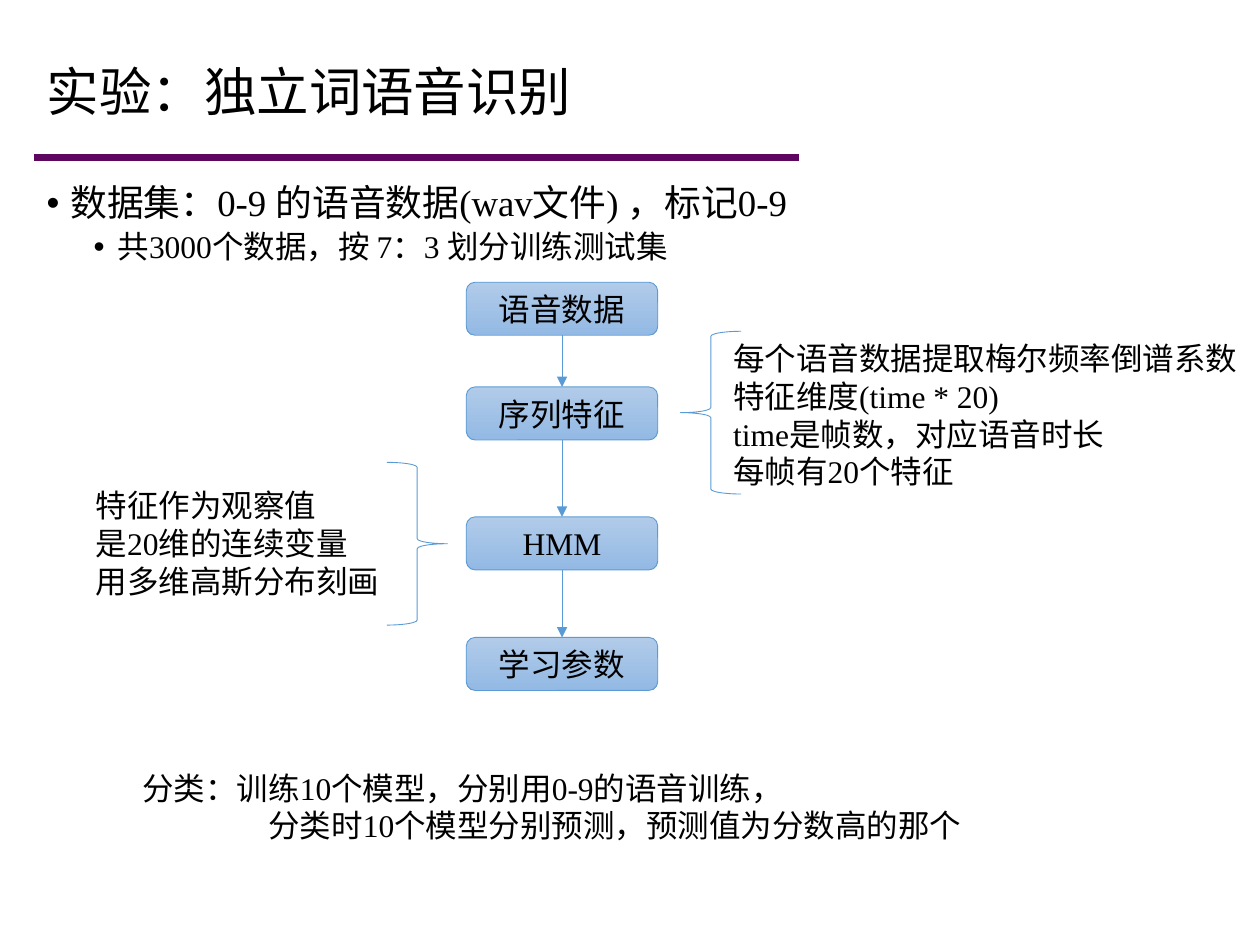
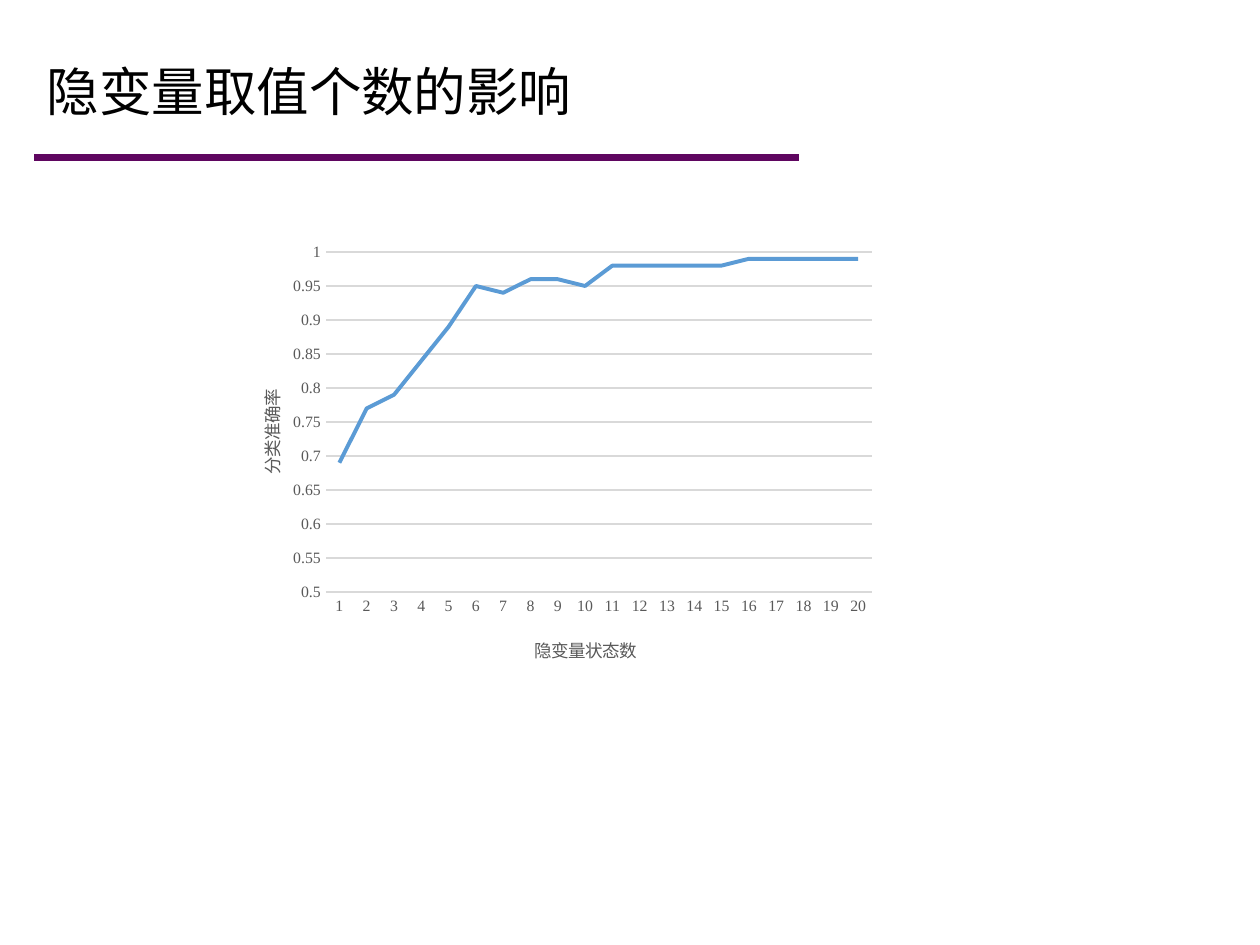
from dataclasses import dataclass
from itertools import pairwise

from lxml import etree
from pptx import Presentation
from pptx import util as u
from pptx.chart.data import CategoryChartData
from pptx.dml.color import RGBColor
from pptx.enum import chart as charts
from pptx.enum import shapes, text
from pptx.oxml.ns import qn


@dataclass(frozen=True)
class Theme:
    ink: RGBColor = RGBColor.from_string("000000")
    band: RGBColor = RGBColor.from_string("5F0660")
    accent: RGBColor = RGBColor.from_string("5B9BD5")
    box_top: RGBColor = RGBColor.from_string("B1CBE9")
    box_bottom: RGBColor = RGBColor.from_string("93B9E4")
    axis_text: RGBColor = RGBColor.from_string("595959")
    grid: RGBColor = RGBColor.from_string("D9D9D9")
    title_font: str = "Vollkorn"
    body_font: str = "Times New Roman"
    title_size: float = 30
    bullet_size: float = 21
    text_size: float = 18
    axis_title_size: float = 10
    tick_size: float = 9
    hairline: float = 0.5
    axis_line: float = 0.75
    series_line: float = 2.25
    band_line: float = 4


THEME = Theme()


@dataclass(frozen=True)
class Area:
    """A rectangle in centimetres."""
    left: float
    top: float
    width: float
    height: float

    def lengths(self) -> tuple:
        return tuple(u.Cm(v) for v in (self.left, self.top, self.width, self.height))


@dataclass(frozen=True)
class Step:
    label: str
    top: float


@dataclass(frozen=True)
class Note:
    lines: tuple
    area: Area
    last_indent: float = 0


@dataclass(frozen=True)
class Brace:
    area: Area
    rotation: int = 0


@dataclass(frozen=True)
class Bullet:
    words: str
    level: int
    size: float
    left: float
    space_before: float


TITLE_AREA = Area(0.69, 0.89, 19.84, 2.03)
BODY_AREA = Area(0.69, 3.61, 24.26, 13.79)
CHART_AREA = Area(4.47, 4.72, 13.36, 9.02)
BAND_LEFT, BAND_RIGHT, BAND_TOP = 0.69, 16.1, 3.18
STEP_LEFT, STEP_WIDTH, STEP_HEIGHT = 9.4, 3.86, 1.07
BULLET_HANG = 0.48

BULLETS = (
    Bullet("数据集：0-9 的语音数据(wav文件) ，标记0-9", 0, THEME.bullet_size, 0.48, 7.5),
    Bullet("共3000个数据，按 7：3 划分训练测试集", 1, THEME.text_size, 1.43, 3.8),
)
STEPS = (
    Step("语音数据", 5.69),
    Step("序列特征", 7.8),
    Step("HMM", 10.42),
    Step("学习参数", 12.85),
)
BRACES = (
    Brace(Area(13.72, 6.68, 1.22, 3.28)),
    Brace(Area(7.8, 9.32, 1.22, 3.28), rotation=180),
)
NOTES = (
    Note(("每个语音数据提取梅尔频率倒谱系数", "特征维度(time * 20)",
          "time是帧数，对应语音时长", "每帧有20个特征"), Area(14.53, 6.71, 10.7, 3.33)),
    Note(("特征作为观察值", "是20维的连续变量", "用多维高斯分布刻画"),
         Area(1.68, 9.68, 6.27, 2.57)),
    Note(("分类：训练10个模型，分别用0-9的语音训练，",
          "分类时10个模型分别预测，预测值为分数高的那个"),
         Area(2.62, 15.37, 22.35, 1.8), last_indent=2.54),
)
ACCURACY = (0.69, 0.77, 0.79, 0.84, 0.89, 0.95, 0.94, 0.96, 0.96, 0.95,
            0.98, 0.98, 0.98, 0.98, 0.98, 0.99, 0.99, 0.99, 0.99, 0.99)


def style_font(font, size: float, color: RGBColor = THEME.ink,
               name: str = THEME.body_font) -> None:
    font.size = u.Pt(size)
    font.name = name
    font.bold = False
    font.color.rgb = color


def style_runs(paragraph, size: float, name: str = THEME.body_font) -> None:
    for run in paragraph.runs:
        style_font(run.font, size, name=name)


def indent(paragraph, left: float, first_line: float = 0) -> None:
    properties = paragraph._p.get_or_add_pPr()
    properties.set("marL", str(u.Cm(left)))
    properties.set("indent", str(u.Cm(first_line)))


def add_text_frame(slide, area: Area):
    frame = slide.shapes.add_textbox(*area.lengths()).text_frame
    frame.word_wrap = True
    return frame


def add_line(slide, color: RGBColor, width: float, start=(0, 0), end=(0, 0)):
    """Straight connector without a shadow, between points in centimetres."""
    points = [u.Cm(value) for value in (*start, *end)]
    line = slide.shapes.add_connector(shapes.MSO_CONNECTOR.STRAIGHT, *points)
    line.line.color.rgb = color
    line.line.width = u.Pt(width)
    etree.SubElement(line._element.spPr, qn("a:effectLst"))
    return line


def add_titled_slide(presentation, title: str):
    slide = presentation.slides.add_slide(presentation.slide_layouts[6])
    add_line(slide, THEME.band, THEME.band_line,
             (BAND_LEFT, BAND_TOP), (BAND_RIGHT, BAND_TOP))
    frame = add_text_frame(slide, TITLE_AREA)
    frame.vertical_anchor = text.MSO_ANCHOR.MIDDLE
    frame.text = title
    frame.paragraphs[0].line_spacing = 0.9
    style_runs(frame.paragraphs[0], THEME.title_size, THEME.title_font)
    return slide


def add_bullets(slide, bullets: tuple) -> None:
    frame = add_text_frame(slide, BODY_AREA)
    frame.text = "\n".join(bullet.words for bullet in bullets)
    for paragraph, bullet in zip(frame.paragraphs, bullets):
        paragraph.level = bullet.level
        paragraph.line_spacing = 0.9
        paragraph.space_before = u.Pt(bullet.space_before)
        indent(paragraph, bullet.left, -BULLET_HANG)
        properties = paragraph._p.get_or_add_pPr()
        etree.SubElement(properties, qn("a:buFont"), typeface="Arial")
        etree.SubElement(properties, qn("a:buChar"), char="•")
        style_runs(paragraph, bullet.size)


def add_note(slide, note: Note) -> None:
    frame = add_text_frame(slide, note.area)
    frame.text = "\n".join(note.lines)
    for paragraph in frame.paragraphs:
        style_runs(paragraph, THEME.text_size)
    if note.last_indent:
        indent(frame.paragraphs[-1], note.last_indent)


def add_outlined_shape(slide, kind, area: Area):
    shape = slide.shapes.add_shape(kind, *area.lengths())
    shape.shadow.inherit = False
    shape.line.color.rgb = THEME.accent
    shape.line.width = u.Pt(THEME.hairline)
    return shape


def add_step(slide, step: Step):
    shape = add_outlined_shape(slide, shapes.MSO_SHAPE.ROUNDED_RECTANGLE,
                               Area(STEP_LEFT, step.top, STEP_WIDTH, STEP_HEIGHT))
    shape.fill.gradient()
    shape.fill.gradient_angle = 270
    for stop, color in zip(shape.fill.gradient_stops, (THEME.box_top, THEME.box_bottom)):
        stop.color.rgb = color
    frame = shape.text_frame
    frame.vertical_anchor = text.MSO_ANCHOR.MIDDLE
    frame.text = step.label
    frame.paragraphs[0].alignment = text.PP_ALIGN.CENTER
    style_runs(frame.paragraphs[0], THEME.text_size)
    return shape


def add_arrow(slide, upper, lower) -> None:
    arrow = add_line(slide, THEME.accent, THEME.hairline)
    arrow.begin_connect(upper, 2)
    arrow.end_connect(lower, 0)
    etree.SubElement(arrow.line._get_or_add_ln(), qn("a:tailEnd"), type="triangle")


def add_brace(slide, brace: Brace) -> None:
    shape = add_outlined_shape(slide, shapes.MSO_SHAPE.LEFT_BRACE, brace.area)
    shape.fill.background()
    shape.rotation = brace.rotation


def place(element, index: int, **fractions: float) -> None:
    """Fix a chart part at fractions of the chart area."""
    for old in element.findall(qn("c:layout")):
        element.remove(old)
    layout = etree.Element(qn("c:layout"))
    element.insert(index, layout)
    manual = etree.SubElement(layout, qn("c:manualLayout"))
    if "w" in fractions:
        etree.SubElement(manual, qn("c:layoutTarget"), val="inner")
    for mode in ("xMode", "yMode"):
        etree.SubElement(manual, qn(f"c:{mode}"), val="edge")
    for name, value in fractions.items():
        etree.SubElement(manual, qn(f"c:{name}"), val=str(value))


def style_axis(axis, title: str, x: float, y: float) -> None:
    axis.major_tick_mark = axis.minor_tick_mark = charts.XL_TICK_MARK.NONE
    style_font(axis.tick_labels.font, THEME.tick_size, THEME.axis_text)
    frame = axis.axis_title.text_frame
    frame.text = title
    style_font(frame.paragraphs[0].runs[0].font, THEME.axis_title_size, THEME.axis_text)
    place(axis.axis_title._element, 1, x=x, y=y)


def add_accuracy_chart(slide) -> None:
    data = CategoryChartData()
    data.categories = [str(count) for count in range(1, len(ACCURACY) + 1)]
    data.add_series("Series 1", ACCURACY)
    chart = slide.shapes.add_chart(charts.XL_CHART_TYPE.LINE,
                                   *CHART_AREA.lengths(), data).chart
    chart.has_title = chart.has_legend = False
    style_font(chart.font, THEME.axis_title_size)
    chart.plots[0].vary_by_categories = False
    place(chart._chartSpace.chart.plotArea, 0, x=0.157, y=0.04, w=0.824, h=0.76)

    style_axis(chart.category_axis, "隐变量状态数", 0.467, 0.89)
    values = chart.value_axis
    style_axis(values, "分类准确率", 0.05, 0.34)
    values.minimum_scale, values.maximum_scale, values.major_unit = 0.5, 1, 0.05
    values.tick_labels.number_format = "General"
    values.tick_labels.number_format_is_linked = False
    values.format.line.fill.background()
    for grey in (values.major_gridlines.format.line, chart.category_axis.format.line):
        grey.color.rgb = THEME.grid
        grey.width = u.Pt(THEME.axis_line)

    series = chart.plots[0].series[0]
    series.smooth = False
    series.marker.style = charts.XL_MARKER_STYLE.NONE
    series.format.line.color.rgb = THEME.accent
    series.format.line.width = u.Pt(THEME.series_line)


def main() -> None:
    presentation = Presentation()
    presentation.slide_width, presentation.slide_height = u.Cm(25.4), u.Cm(19.05)

    experiment = add_titled_slide(presentation, "实验：独立词语音识别")
    add_bullets(experiment, BULLETS)
    boxes = [add_step(experiment, step) for step in STEPS]
    for upper, lower in pairwise(boxes):
        add_arrow(experiment, upper, lower)
    for brace in BRACES:
        add_brace(experiment, brace)
    for note in NOTES:
        add_note(experiment, note)

    influence = add_titled_slide(presentation, "隐变量取值个数的影响")
    add_accuracy_chart(influence)
    presentation.save("out.pptx")


if __name__ == "__main__":
    main()
